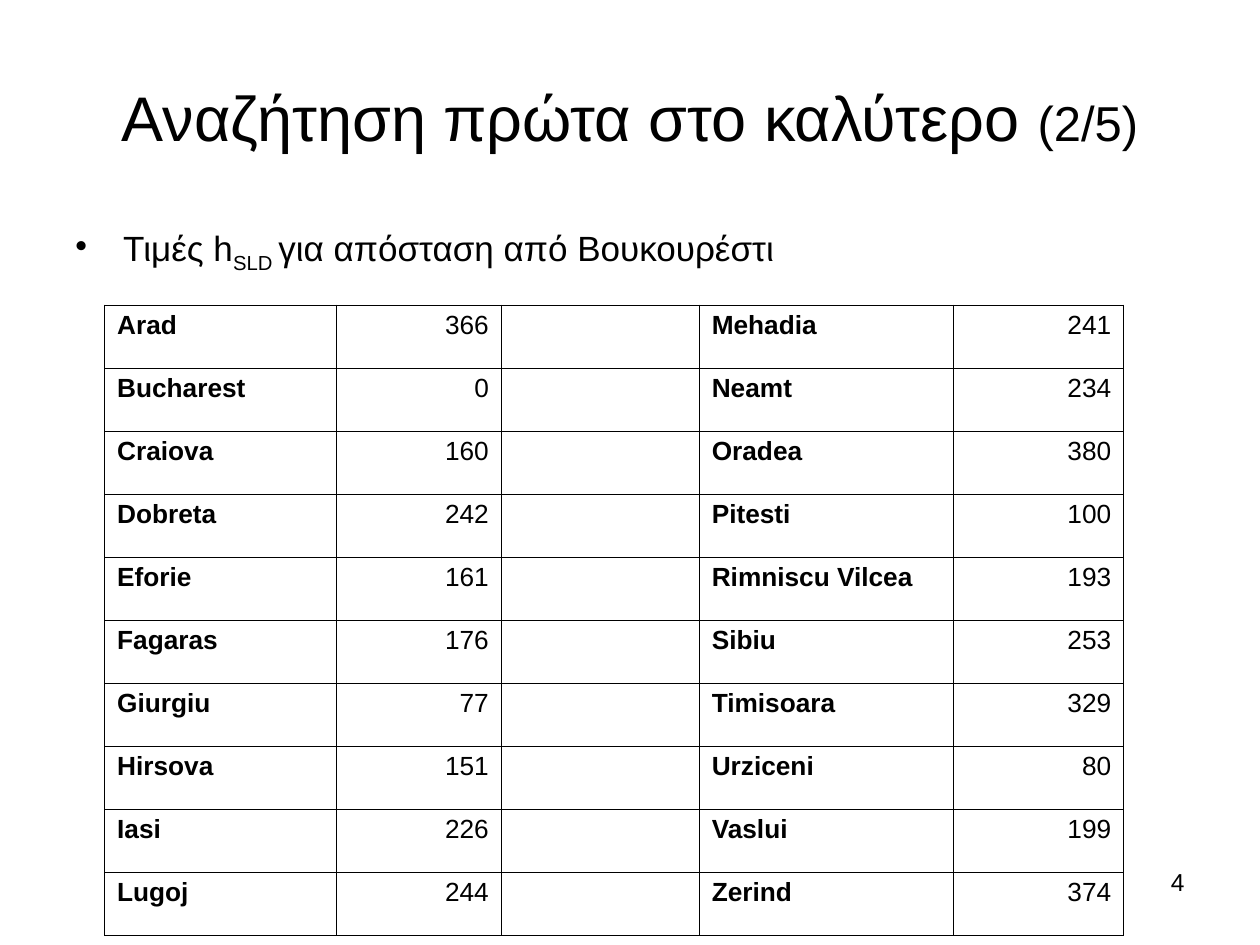
from lxml.etree import SubElement
from pptx import Presentation
from pptx.dml.color import RGBColor
from pptx.enum.text import MSO_ANCHOR, PP_ALIGN
from pptx.oxml.ns import qn
from pptx.util import Inches, Pt

BLACK = RGBColor(0x00, 0x00, 0x00)
FONT = "Arial"
INNER_LINE, OUTER_LINE = Pt(0.34), Pt(0.45)
HANGING_INDENT = Inches(0.38)
COLUMN_WIDTHS = [1.84, 1.31, 1.57, 2.02, 1.35]
ROW_HEIGHT = 0.5

DISTANCES = [
    ("Arad", 366), ("Bucharest", 0), ("Craiova", 160), ("Dobreta", 242),
    ("Eforie", 161), ("Fagaras", 176), ("Giurgiu", 77), ("Hirsova", 151),
    ("Iasi", 226), ("Lugoj", 244), ("Mehadia", 241), ("Neamt", 234),
    ("Oradea", 380), ("Pitesti", 100), ("Rimniscu Vilcea", 193),
    ("Sibiu", 253), ("Timisoara", 329), ("Urziceni", 80), ("Vaslui", 199),
    ("Zerind", 374),
]


def add_run(paragraph, text, size, bold=False, baseline=None):
    run = paragraph.add_run()
    run.text = text
    run.font.name = FONT
    run.font.size = Pt(size)
    run.font.bold = bold
    run.font.color.rgb = BLACK
    if baseline is not None:
        run.font._element.set("baseline", str(baseline * 1000))


def add_text_box(slide, box, align=PP_ALIGN.LEFT, anchor=MSO_ANCHOR.TOP):
    """Add an empty wrapping text box and return its first paragraph."""
    frame = slide.shapes.add_textbox(*map(Inches, box)).text_frame
    frame.word_wrap = True
    frame.vertical_anchor = anchor
    frame.paragraphs[0].alignment = align
    return frame.paragraphs[0]


def add_title(slide, box):
    paragraph = add_text_box(slide, box, PP_ALIGN.CENTER, MSO_ANCHOR.MIDDLE)
    add_run(paragraph, "Αναζήτηση πρώτα στο καλύτερο ", 36)
    add_run(paragraph, "(2/5)", 28)


def add_body(slide, box):
    paragraph = add_text_box(slide, box)
    properties = paragraph._p.get_or_add_pPr()
    properties.set("marL", str(HANGING_INDENT))
    properties.set("indent", str(-HANGING_INDENT))
    SubElement(properties, qn("a:buChar"), char="•")
    add_run(paragraph, "Τιμές h", 20)
    add_run(paragraph, "SLD ", 20, baseline=-25)
    add_run(paragraph, "για απόσταση από Βουκουρέστι", 20)


def set_borders(cell, outer_sides):
    properties = cell._tc.get_or_add_tcPr()
    for side in "LRTB":
        width = OUTER_LINE if side in outer_sides else INNER_LINE
        line = SubElement(properties, qn(f"a:ln{side}"), w=str(width))
        fill = SubElement(line, qn("a:solidFill"))
        SubElement(fill, qn("a:srgbClr"), val=str(BLACK))


def add_distance_table(slide, left, top):
    row_count, column_count = len(DISTANCES) // 2, len(COLUMN_WIDTHS)
    table = slide.shapes.add_table(
        row_count, column_count, Inches(left), Inches(top),
        Inches(sum(COLUMN_WIDTHS)), Inches(ROW_HEIGHT * row_count)).table
    table.first_row = table.horz_banding = False
    for column, width in zip(table.columns, COLUMN_WIDTHS):
        column.width = Inches(width)
    for row in table.rows:
        row.height = Inches(ROW_HEIGHT)

    for row in range(row_count):
        for column in range(column_count):
            cell = table.cell(row, column)
            edges = {"L": column == 0, "R": column == column_count - 1,
                     "T": row == 0, "B": row == row_count - 1}
            set_borders(cell, [side for side, outer in edges.items() if outer])
            cell.fill.background()

    for index, (city, distance) in enumerate(DISTANCES):
        half, row = divmod(index, row_count)
        name_cell = table.cell(row, half * 3)
        distance_cell = table.cell(row, half * 3 + 1)
        add_run(name_cell.text_frame.paragraphs[0], city, 15, bold=True)
        paragraph = distance_cell.text_frame.paragraphs[0]
        paragraph.alignment = PP_ALIGN.RIGHT
        add_run(paragraph, str(distance), 15)


def add_slide_number(slide, box):
    add_run(add_text_box(slide, box, PP_ALIGN.RIGHT), "4", 14)


def main():
    presentation = Presentation()
    presentation.slide_width, presentation.slide_height = Inches(10), Inches(7.5)
    slide = presentation.slides.add_slide(presentation.slide_layouts[6])
    add_title(slide, (0.5, 0.3, 9, 1.25))
    add_body(slide, (0.5, 1.75, 9, 4.95))
    add_distance_table(slide, 0.83, 2.42)
    add_slide_number(slide, (7.17, 6.83, 2.33, 0.52))
    presentation.save("out.pptx")


if __name__ == "__main__":
    main()
